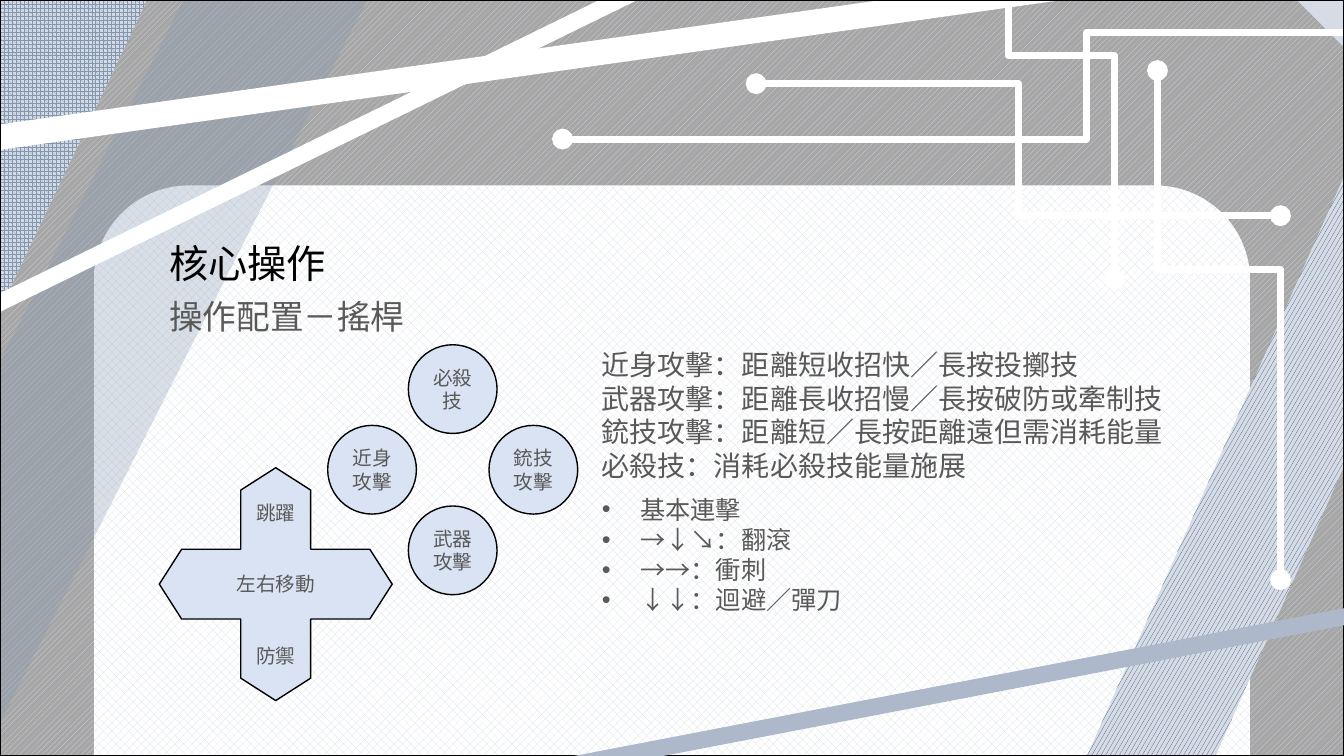
import pptx
import pptx.util
import pptx.dml.color
import pptx.enum.dml
import pptx.enum.shapes
import pptx.enum.text
import pptx.oxml
import pptx.oxml.ns

Inches = pptx.util.Inches
Pt = pptx.util.Pt
Shape = pptx.enum.shapes.MSO_SHAPE
Line = pptx.enum.shapes.MSO_CONNECTOR
Pattern = pptx.enum.dml.MSO_PATTERN
Align = pptx.enum.text.PP_ALIGN
Anchor = pptx.enum.text.MSO_ANCHOR
qn = pptx.oxml.ns.qn

WIDE, HIGH = 13.33, 7.5
PALE, STEEL, WHITE, BLACK, GREY = "D6DCE5", "8497B0", "FFFFFF", "000000", "595959"
KEY = "DAE3F3"
SANS = "Noto Sans CJK SC"


def color(code):
    return pptx.dml.color.RGBColor.from_string(code)


def child(parent, tag, **attrs):
    item = parent.makeelement(qn(tag), attrs)
    parent.append(item)
    return item


def block(slide, kind, box, fill=None, edge=None, pattern=None, back=None):
    """Add a preset shape with a plain, patterned or empty fill."""
    shape = slide.shapes.add_shape(kind, *map(Inches, box))
    shape.shadow.inherit = False
    if pattern is not None:
        shape.fill.patterned()
        shape.fill.pattern = Pattern.from_xml(pattern)
        shape.fill.fore_color.rgb = color(fill)
        shape.fill.back_color.rgb = color(back)
    elif fill:
        shape.fill.solid()
        shape.fill.fore_color.rgb = color(fill)
    else:
        shape.fill.background()
    if edge:
        shape.line.color.rgb = color(edge)
        shape.line.width = Pt(1)
    else:
        shape.line.fill.background()
    return shape


def stroke(slide, kind, start, end, code, width):
    """Add a connector without a shadow."""
    line = slide.shapes.add_connector(kind, *map(Inches, start + end))
    line.line.color.rgb = color(code)
    line.line.width = Pt(width)
    child(line.element.spPr, "a:effectLst")
    return line


def trace(slide, start, end, split, upright):
    """Add a bent circuit line; an upright one leaves its start vertically."""
    if upright:
        mid = [(a + b) / 2 for a, b in zip(start, end)]
        half = (start[1] - end[1]) / 2, (end[0] - start[0]) / 2
        start = mid[0] - half[0], mid[1] - half[1]
        end = mid[0] + half[0], mid[1] + half[1]
    line = stroke(slide, Line.ELBOW, start, end, WHITE, 5)
    props = line.element.spPr
    if upright:
        props.find(qn("a:xfrm")).set("rot", str(270 * 60000))
    bends = props.find(qn("a:prstGeom")).find(qn("a:avLst"))
    child(bends, "a:gd", name="adj1", fmla=f"val {round(split * 100000)}")
    pen = props.find(qn("a:ln"))
    child(pen, "a:headEnd", type="oval")
    child(pen, "a:tailEnd", type="oval")


def write(shape, lines, size, font, code, align=Align.LEFT, gap=0):
    """Fill a shape with lines of text in one style."""
    frame = shape.text_frame
    frame.text = "\n".join(lines)
    frame.word_wrap = True
    frame.auto_size = pptx.enum.text.MSO_AUTO_SIZE.NONE
    for index, para in enumerate(frame.paragraphs):
        para.alignment = align
        para.space_before = Pt(gap if index else 0)
        for run in para.runs:
            run.font.size = Pt(size)
            run.font.name = font
            run.font.color.rgb = color(code)
    return frame


def place(shape, box):
    shape.left, shape.top, shape.width, shape.height = map(Inches, box)


def backdrop(slide, box):
    left, top, wide, high = box
    right, base = left + wide, top + high
    # Patterned ground and panel
    block(slide, Shape.RECTANGLE, box, PALE)
    ground = block(slide, Shape.SNIP_2_SAME_RECTANGLE,
                   (left - 2.27, top - 1.63, 18.07, 9.14),
                   PALE, pattern="wdUpDiag", back="A6A6A6")
    ground.adjustments[0] = 0.5
    block(slide, Shape.ROUND_2_SAME_RECTANGLE,
          (left + 0.93, base - 5.66, 11.47, 5.66),
          PALE, pattern="pct40", back=WHITE)
    band = block(slide, Shape.DIAGONAL_STRIPE,
                 (right - 2.55, base - 5.75, 2.55, 5.75),
                 "203864", pattern="lgConfetti", back=PALE)
    band.rotation = 180
    # Circuit lines
    for start, end, split, upright in [
        ((10, -0.47), (11.05, 2.77), 0.316, True),
        ((7.5, 0.83), (12.7, 2.14), 0.5, False),
        ((13.48, 0.32), (5.58, 1.38), 0.342, False),
        ((12.7, 5.75), (11.48, 0.7), 0.61, True),
    ]:
        trace(slide, (left + start[0], top + start[1]),
              (left + end[0], top + end[1]), split, upright)
    # Corner stripes
    corner = block(slide, Shape.DIAGONAL_STRIPE, (left, top, 1.46, 3.07),
                   STEEL, pattern="sphere", back=PALE)
    corner.adjustments[0] = 0
    veil = block(slide, Shape.DIAGONAL_STRIPE, (left, top, 3.64, 7.17), STEEL)
    tint = veil.element.spPr.find(qn("a:solidFill")).find(qn("a:srgbClr"))
    child(tint, "a:alpha", val="30000")
    # Beams and frame
    for x, low, width in [(6.48, 3.07, 12), (10.84, 1.38, 18)]:
        stroke(slide, Line.STRAIGHT, (left + x, top - 0.17),
               (left - 0.14, top + low), WHITE, width)
    block(slide, Shape.RECTANGLE, box, edge=BLACK)
    stroke(slide, Line.STRAIGHT, (left + 13.48, top + 6.09),
           (left + 5.25, top + 7.67), "ADB9CA", 12)


def heading(slide, box):
    left, top, wide, high = box
    title = slide.shapes.title
    slide.shapes.element.append(title.element)
    place(title, (left, top, wide, 0.57))
    frame = write(title, ["核心操作"], 28, "Calibri", BLACK)
    frame.vertical_anchor = Anchor.TOP
    below = slide.shapes.add_textbox(
        *map(Inches, (left, top + 0.57, 4.8, high - 0.57)))
    write(below, ["操作配置－搖桿"], 24, "Calibri", GREY)


def joypad(slide, box):
    left, top, wide, high = box
    # Ring of attack buttons
    size, step = 0.88, 0.8
    x, y = left + wide - size - step, top + step
    for name, across, down in [("必殺技", 0, -1), ("近身攻擊", -1, 0),
                               ("銃技攻擊", 1, 0), ("武器攻擊", 0, 1)]:
        key = block(slide, Shape.OVAL,
                    (x + across * step, y + down * step, size, size), KEY, BLACK)
        frame = write(key, [name], 14, SANS, GREY, Align.CENTER)
        frame.vertical_anchor = Anchor.MIDDLE
    # Direction cross
    cross = 2.31
    stick = block(slide, Shape.QUAD_ARROW,
                  (left, top + high - cross, cross, cross), KEY, BLACK)
    for index, value in enumerate((0.375, 0.15, 0.096)):
        stick.adjustments[index] = value
    frame = write(stick, ["跳躍", "左右移動", "防禦"], 14, SANS, GREY,
                  Align.CENTER, gap=34)
    frame.vertical_anchor = Anchor.MIDDLE


def moves(slide, box):
    left, top, wide, high = box
    # Attack notes
    notes = slide.shapes.add_textbox(*map(Inches, (left, top, wide, 1.45)))
    write(notes, ["近身攻擊：距離短收招快／長按投擲技",
                  "武器攻擊：距離長收招慢／長按破防或牽制技",
                  "銃技攻擊：距離短／長按距離遠但需消耗能量",
                  "必殺技：消耗必殺技能量施展"], 20, SANS, GREY)
    # Combo list
    combos = slide.placeholders[1]
    slide.shapes.element.append(combos.element)
    place(combos, (left, top + 1.45, 5.62, high - 1.45))
    frame = write(combos, ["基本連擊", "→↓↘：翻滾", "→→：衝刺", "↓↓：迴避／彈刀"],
                  18, SANS, GREY)
    for para in frame.paragraphs:
        props = para._p.get_or_add_pPr()
        props.set("marL", str(Inches(0.38)))
        props.set("indent", str(Inches(-0.38)))
        child(props, "a:buFont", typeface="Arial")
        child(props, "a:buChar", char="•")


def main():
    deck = pptx.Presentation()
    deck.slide_width, deck.slide_height = Inches(WIDE), Inches(HIGH)
    slide = deck.slides.add_slide(deck.slide_layouts[1])
    backdrop(slide, (0, 0, WIDE, HIGH))
    heading(slide, (1.58, 2.32, 5.51, 1.07))
    joypad(slide, (1.58, 3.42, 4.15, 3.53))
    moves(slide, (5.87, 3.4, 6.13, 2.76))
    deck.save("out.pptx")


if __name__ == "__main__":
    main()
